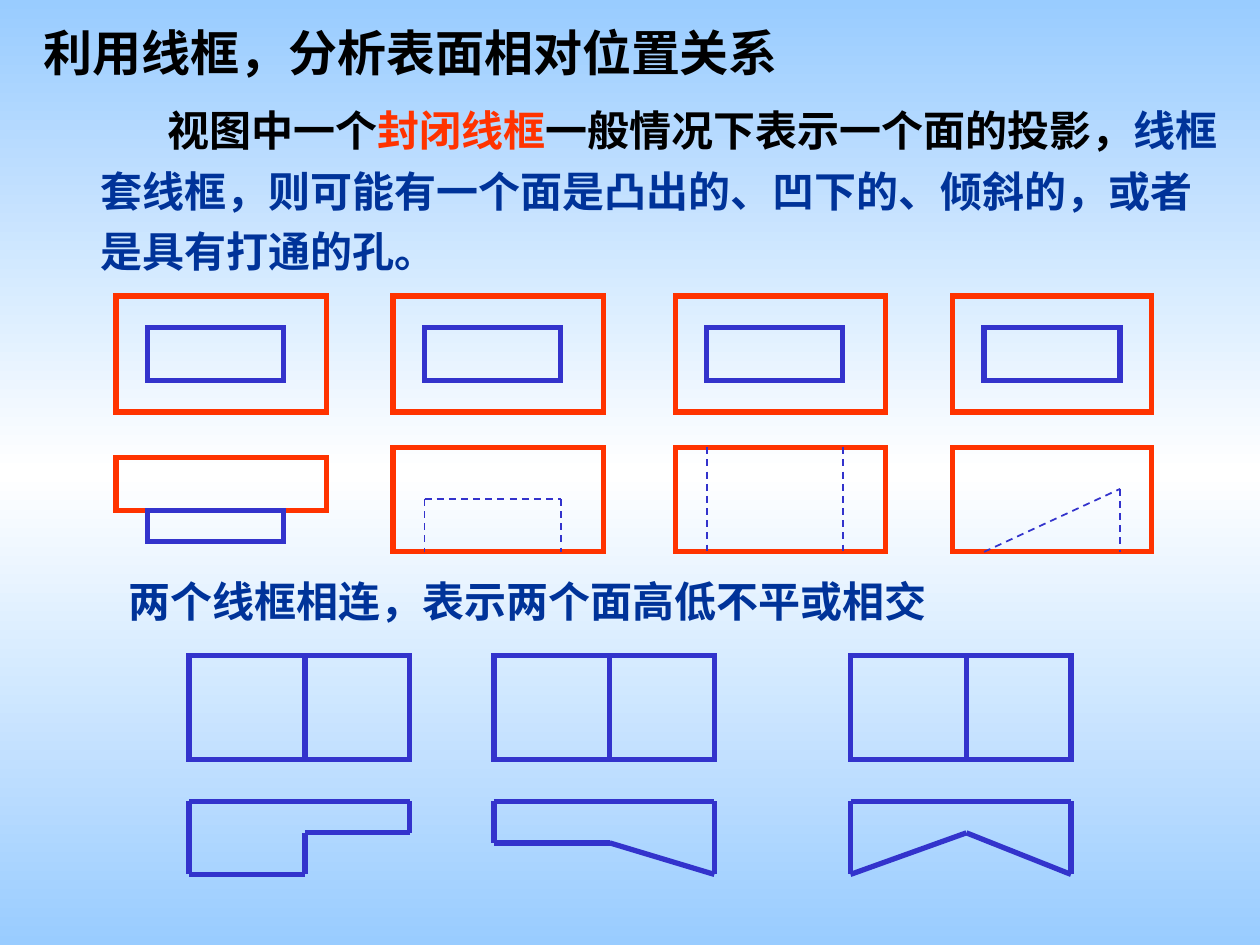
"""Build a slide on reading the relative position of surfaces from line frames."""
from copy import deepcopy

from lxml import etree
from pptx import Presentation
from pptx.dml.color import RGBColor
from pptx.enum.dml import MSO_LINE
from pptx.enum.shapes import MSO_CONNECTOR, MSO_SHAPE
from pptx.enum.text import MSO_ANCHOR
from pptx.oxml.ns import qn
from pptx.util import Inches, Pt

RECT = MSO_SHAPE.RECTANGLE
LINE = MSO_CONNECTOR.STRAIGHT
DASH = MSO_LINE.DASH
MIDDLE = MSO_ANCHOR.MIDDLE

COLORS = {"black": "000000", "red": "FF3300", "blue": "3333CC",
          "navy": "003399", "pale": "99CCFF", "white": "FFFFFF"}
STOPS = [(0, "pale"), (0.5, "white"), (1, "pale")]
SANS, SERIF = "Noto Sans CJK SC", "Times New Roman"

TEXTS = [
    {"box": (0.25, 0.13, 6.45, 0.57), "size": 28, "font": SANS,
     "runs": [("利用线框，分析表面相对位置关系", "black")]},
    {"box": (0.7, 0.7, 9.07, 1.54), "size": 24, "font": SERIF,
     "space": 1.2, "indent": 0.53,
     "runs": [("视图中一个", "black"), ("封闭线框", "red"),
              ("一般情况下表示一个面的投影，", "black"),
              ("线框套线框，则可能有一个面是凸出的、凹下的、倾斜的，"
               "或者是具有打通的孔。", "navy")]},
    {"box": (0.92, 4.52, 6.9, 0.5), "size": 24, "font": SERIF,
     "runs": [("两个线框相连，表示两个面高低不平或相交", "navy")]},
]

INSET, INNER = 0.25, 1.08
TOP, HIGH = 3.55, 0.83
BASE = TOP + HIGH
NESTED = [
    {"left": 0.92, "width": 1.67, "top": 3.63, "height": 0.42, "boss": 0.25},
    {"left": 3.12, "width": 1.67, "hidden": [
        (0, 3.96, INNER, 3.96), (INNER, 3.96, INNER, BASE),
        (0, 3.96, 0, BASE)]},
    {"left": 5.36, "width": 1.67, "hidden": [
        (0, TOP, 0, BASE), (INNER, TOP, INNER, BASE)]},
    {"left": 7.56, "width": 1.58, "hidden": [
        (0, BASE, INNER, 3.88), (INNER, 3.88, INNER, BASE)]},
]

PAIR, SPLIT = 1.75, 0.92
ROOF, STEP, SHELF, FLOOR = 6.36, 6.61, 6.69, 6.94
JOINED = [
    (1.5, [(0, ROOF, 0, FLOOR), (0, FLOOR, SPLIT, FLOOR),
           (SPLIT, FLOOR, SPLIT, STEP), (SPLIT, STEP, PAIR, STEP),
           (PAIR, STEP, PAIR, ROOF)]),
    (3.92, [(0, ROOF, 0, SHELF), (0, SHELF, SPLIT, SHELF),
            (SPLIT, SHELF, PAIR, FLOOR), (PAIR, ROOF, PAIR, FLOOR)]),
    (6.75, [(0, ROOF, 0, FLOOR), (0, FLOOR, SPLIT, STEP),
            (SPLIT, STEP, PAIR, FLOOR), (PAIR, ROOF, PAIR, FLOOR)]),
]


def rgb(name):
    return RGBColor.from_string(COLORS[name])


def paint(slide):
    fill = slide.background.fill
    fill.gradient()
    fill.gradient_angle = 90
    first = slide.element.find(".//" + qn("a:gs"))
    first.addnext(deepcopy(first))
    for stop, (place, name) in zip(fill.gradient_stops, STOPS):
        stop.position = place
        stop.color.rgb = rgb(name)


def frame(slide, name, *box):
    shape = slide.shapes.add_shape(RECT, *map(Inches, box))
    shape.shadow.inherit = False
    shape.fill.background()
    shape.line.color.rgb = rgb(name)
    shape.line.width = Pt(3)
    outline = shape.element.spPr.find(qn("a:ln"))
    etree.SubElement(outline, qn("a:miter")).set("lim", "800000")


def edge(slide, left, ends, dashed=False):
    x1, y1, x2, y2 = ends
    line = slide.shapes.add_connector(
        LINE, *map(Inches, (left + x1, y1, left + x2, y2)))
    line.line.color.rgb = rgb("blue")
    line.line.width = Pt(1 if dashed else 3)
    if dashed:
        line.line.dash_style = DASH
    etree.SubElement(line.element.spPr, qn("a:effectLst"))


def write(slide, item):
    body = slide.shapes.add_textbox(*map(Inches, item["box"])).text_frame
    body.word_wrap = True
    body.vertical_anchor = MIDDLE
    para = body.paragraphs[0]
    if "space" in item:
        para.line_spacing = item["space"]
        para._p.get_or_add_pPr().set("indent", str(Inches(item["indent"])))
    para.font.size = Pt(item["size"])
    para.font.bold = True
    para.font.name = item["font"]
    for words, name in item["runs"]:
        run = para.add_run()
        run.text = words
        run.font.color.rgb = rgb(name)
        east = etree.SubElement(run._r.get_or_add_rPr(), qn("a:ea"))
        east.set("typeface", SANS)


def main():
    deck = Presentation()
    deck.slide_width, deck.slide_height = Inches(10), Inches(7.5)
    slide = deck.slides.add_slide(deck.slide_layouts[6])
    paint(slide)
    for part in NESTED:
        left, width = part["left"], part["width"]
        inner = left + INSET
        top, high = part.get("top", TOP), part.get("height", HIGH)
        frame(slide, "red", left, 2.35, width, 0.92)
        frame(slide, "blue", inner, 2.6, INNER, 0.42)
        frame(slide, "red", left, top, width, high)
        if "boss" in part:
            frame(slide, "blue", inner, top + high, INNER, part["boss"])
        for ends in part.get("hidden", []):
            edge(slide, inner, ends, dashed=True)
    for left, edges in JOINED:
        frame(slide, "blue", left, 5.2, PAIR, HIGH)
        edge(slide, left, (SPLIT, 5.2, SPLIT, 5.2 + HIGH))
        edge(slide, left, (0, ROOF, PAIR, ROOF))
        for ends in edges:
            edge(slide, left, ends)
    for item in TEXTS:
        write(slide, item)
    deck.save("out.pptx")


if __name__ == "__main__":
    main()
